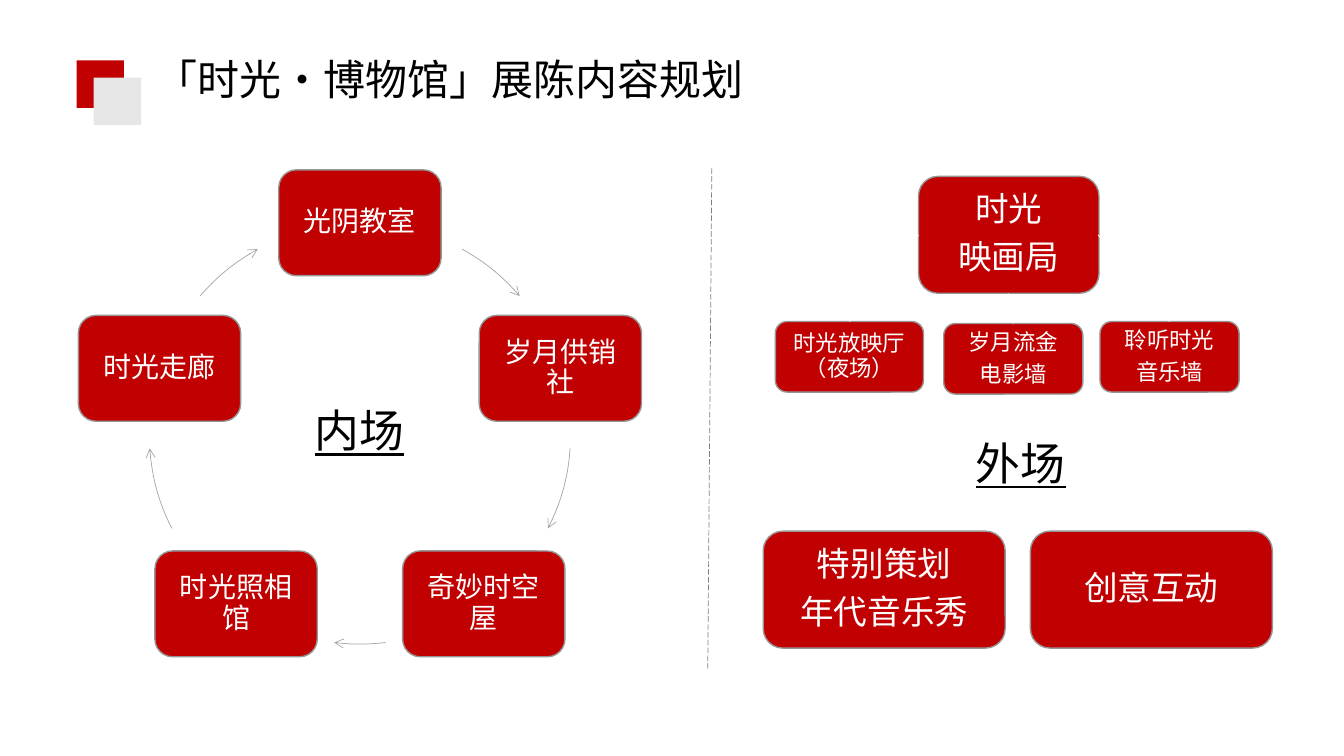
from math import cos, radians, sin

from lxml import etree
from pptx import Presentation
from pptx.dml.color import RGBColor
from pptx.enum.dml import MSO_LINE
from pptx.enum.shapes import MSO_CONNECTOR, MSO_SHAPE
from pptx.enum.text import MSO_ANCHOR, MSO_AUTO_SIZE, PP_ALIGN
from pptx.oxml.ns import qn
from pptx.util import Pt

PX = 9144
FONT = "Noto Sans CJK SC"
RED, WHITE, BLACK = "C10001", "FFFFFF", "000000"
EDGE, ARROW, DIVIDER, PALE = "969696", "A5A5A5", "808080", "E7E6E6"
RECT, ROUNDED, ARC = MSO_SHAPE.RECTANGLE, MSO_SHAPE.ROUNDED_RECTANGLE, MSO_SHAPE.ARC
STRAIGHT, LONG_DASH = MSO_CONNECTOR.STRAIGHT, MSO_LINE.LONG_DASH
LEFT, CENTER = PP_ALIGN.LEFT, PP_ALIGN.CENTER
TOP, MIDDLE = MSO_ANCHOR.TOP, MSO_ANCHOR.MIDDLE
NO_AUTOFIT = MSO_AUTO_SIZE.NONE

ROOMS = ["光阴教室", "岁月供销社", "奇妙时空屋", "时光照相馆", "时光走廊"]
ARC_SPANS = [(-7, 13.3), (-13.9, 8.8), (-7, 7), (-8.8, 13.9), (-13.3, 7)]


def px(*lengths):
    """Turn pixel lengths into EMU."""
    return [round(length * PX) for length in lengths]


def rgb(value):
    """Return the colour of a hex string."""
    return RGBColor.from_string(value)


def write(tf, text, size, color=WHITE, align=CENTER, anchor=MIDDLE,
          inset=(10, 10), spacing=None, after=0, underline=None):
    """Fill a text frame, one paragraph for each line of the text."""
    tf.word_wrap = True
    tf.auto_size = NO_AUTOFIT
    tf.vertical_anchor = anchor
    tf.margin_left = tf.margin_right = px(inset[0])[0]
    tf.margin_top = tf.margin_bottom = px(inset[1])[0]
    for i, line in enumerate(text.split("\n")):
        p = tf.add_paragraph() if i else tf.paragraphs[0]
        p.alignment = align
        p.line_spacing = spacing
        p.space_after = Pt(after)
        r = p.add_run()
        r.text = line
        r.font.name = FONT
        r.font.size = Pt(size)
        r.font.underline = underline
        r.font.color.rgb = rgb(color)
        rPr = r.font._element
        rPr.set("lang", "zh-CN")
        etree.SubElement(rPr, qn("a:ea")).set("typeface", FONT)


def add_block(s, kind, box, fill, line=None):
    """Add a filled shape, outlined if a line colour is given."""
    sp = s.shapes.add_shape(kind, *px(*box))
    sp.shadow.inherit = False
    sp.fill.solid()
    sp.fill.fore_color.rgb = rgb(fill)
    if line:
        sp.line.color.rgb = rgb(line)
        sp.line.width = Pt(1)
    else:
        sp.line.fill.background()
    return sp


def add_card(s, box, text, size, inset=10):
    """Add a red rounded card with centred text."""
    sp = add_block(s, ROUNDED, box, RED, EDGE)
    write(sp.text_frame, text, size, inset=(inset, inset), spacing=0.9, after=0.35 * size)


def add_line(s, start, end, color, dash=None):
    """Add a thin straight line."""
    line = s.shapes.add_connector(STRAIGHT, *px(*start, *end))
    line.line.color.rgb = rgb(color)
    line.line.width = Pt(0.5)
    line.line.dash_style = dash
    etree.SubElement(line._element.spPr, qn("a:effectLst"))


def add_arc(s, box, start, end):
    """Add a clockwise arc between two angles, with an arrowhead at its end."""
    sp = s.shapes.add_shape(ARC, *px(*box))
    sp.shadow.inherit = False
    sp.fill.background()
    sp.line.color.rgb = rgb(ARROW)
    sp.line.width = Pt(0.5)
    for i, angle in enumerate((start, end)):
        sp.adjustments[i] = angle % 360 * 0.6
    etree.SubElement(sp.line._get_or_add_ln(), qn("a:tailEnd")).set("type", "arrow")


def add_zone_label(s, left, top, text):
    """Add the underlined name of a zone."""
    sp = s.shapes.add_textbox(*px(left, top, 123, 64))
    write(sp.text_frame, text, 32, BLACK, anchor=TOP, inset=(10, 5), underline=True)


def add_heading(s, left, top):
    """Place the title and the two overlapping squares before it."""
    title = s.shapes.title
    title.left, title.top, title.width, title.height = px(left + 73, top - 12, 1146, 61)
    write(title.text_frame, "「时光·博物馆」展陈内容规划", 30, BLACK, LEFT, TOP, (5, 5))
    for shift, color in ((0, RED), (17, PALE)):
        add_block(s, RECT, (left + shift, top + shift, 47, 47), color)


def add_inner_zone(s, left, top, size):
    """Place the rooms clockwise on a circle, joined by arrows."""
    radius, width, height = size / 2, 161, 105
    step = 360 / len(ROOMS)
    for i, (room, (start, end)) in enumerate(zip(ROOMS, ARC_SPANS)):
        angle = i * step - 90
        x = left + radius * (1 + cos(radians(angle))) - width / 2
        y = top + radius * (1 + sin(radians(angle))) - height / 2
        add_card(s, (x, y, width, height), room, 20, inset=8)
        middle = angle + step / 2
        add_arc(s, (left, top, size, size), middle + start, middle + end)
    add_zone_label(s, left + 147, top + 174, "内场")


def add_outer_zone(s, left, top):
    """Place the cinema with its three branches above the two events."""
    add_card(s, (left + 154, top, 179, 116), "时光\n映画局", 24)
    branches = [(12, 144, 147, "时光放映厅（夜场）"),
                (179, 146, 138, "岁月流金\n电影墙"),
                (334, 144, 138, "聆听时光\n音乐墙")]
    joints = [(154, 58), (243, 116), (332, 58)]
    for (x, y, width, text), (joint_x, joint_y) in zip(branches, joints):
        add_card(s, (left + x, top + y, width, 70), text, 16)
        add_line(s, (left + joint_x, top + joint_y),
                 (left + x + width / 2, top + y), WHITE)
    for i, text in enumerate(("特别策划\n年代音乐秀", "创意互动")):
        add_card(s, (left + i * 265, top + 352, 240, 116), text, 24)
    add_zone_label(s, left + 194, top + 252, "外场")


def main():
    """Build and save the slide."""
    prs = Presentation()
    prs.slide_width, prs.slide_height = px(1333, 750)
    s = prs.slides.add_slide(prs.slide_layouts[5])
    add_heading(s, 76, 60)
    add_inner_zone(s, 148, 221, 418)
    add_outer_zone(s, 757, 175)
    add_line(s, (706, 167), (702, 663), DIVIDER, LONG_DASH)
    prs.save("out.pptx")


if __name__ == "__main__":
    main()
